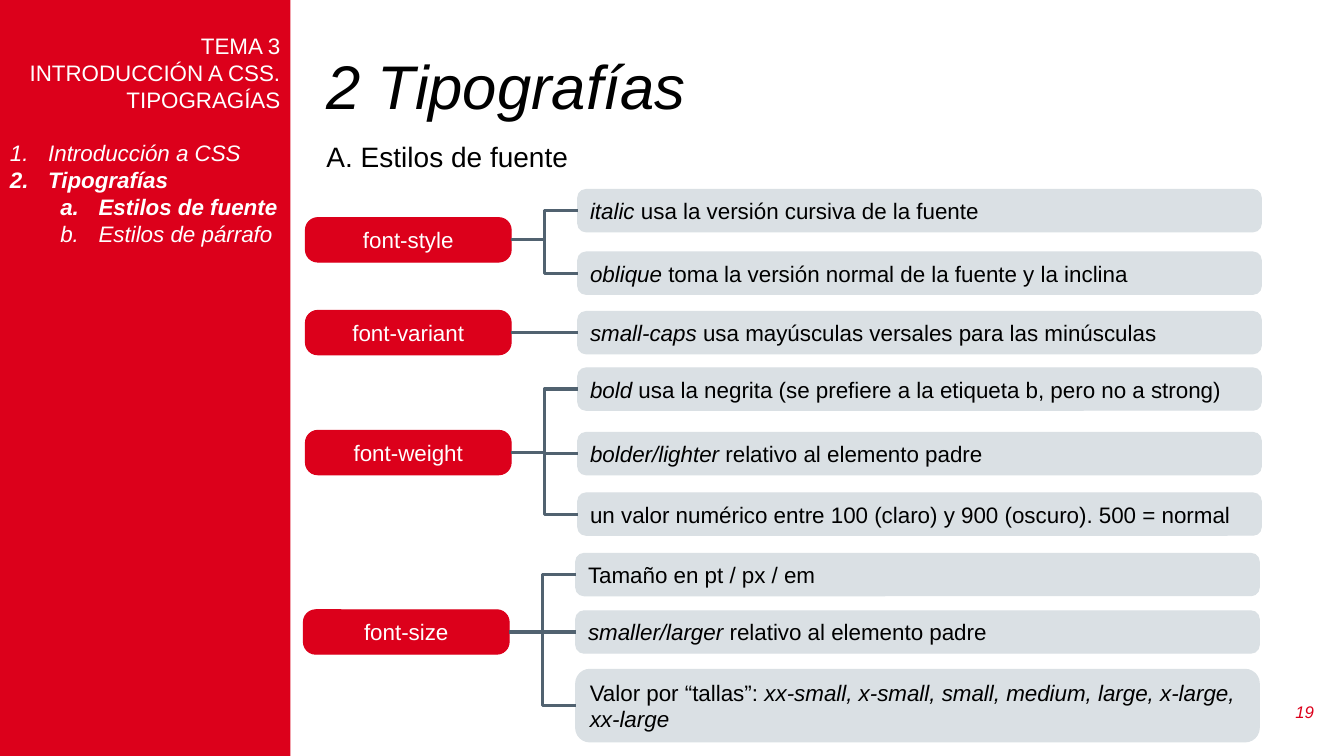
"""Build the slide on CSS font styles: a red side menu and four brackets."""
from lxml import etree
from pptx import Presentation
from pptx.dml.color import RGBColor
from pptx.enum.shapes import MSO_CONNECTOR, MSO_SHAPE
from pptx.enum.text import MSO_ANCHOR, PP_ALIGN
from pptx.oxml.ns import qn
from pptx.util import Inches, Pt

ELBOW = MSO_CONNECTOR.ELBOW
RECT, ROUND = MSO_SHAPE.RECTANGLE, MSO_SHAPE.ROUNDED_RECTANGLE
TOP, MID = MSO_ANCHOR.TOP, MSO_ANCHOR.MIDDLE
LEFT, MIDDLE, RIGHT = PP_ALIGN.LEFT, PP_ALIGN.CENTER, PP_ALIGN.RIGHT

HEX = {"red": "DC001B", "gray": "DAE0E4", "slate": "516270",
       "white": "FFFFFF", "black": "000000"}
FONT = "Arial"

HEADS = ["TEMA 3", "INTRODUCCIÓN A CSS. TIPOGRAGÍAS"]
MENU = [
    ("Introducción a CSS", 0, False),
    ("Tipografías", 0, True),
    ("Estilos de fuente", 1, True),
    ("Estilos de párrafo", 1, False),
]
LABELS = [
    ("2 Tipografías", (3.14, 0.5, 9.99, 0.78), 44, "black", True, LEFT, 0.9),
    ("A. Estilos de fuente", (3.14, 1.33, 7.46, 0.44), 20, "black", False, LEFT, 1),
    ("19", (12.62, 6.86, 0.51, 0.4), 12, "red", True, RIGHT, 1),
]
GROUPS = [
    ("font-style", 3.03, 2.16, [
        (1.88, [[("italic", True), (" usa la versión cursiva de la fuente", False)]]),
        (2.5, [[("oblique ", True),
                ("toma la versión normal de la fuente y la inclina", False)]]),
    ]),
    ("font-variant", 3.03, 3.08, [
        (3.09, [[("small-caps", True),
                 (" usa mayúsculas versales para las minúsculas", False)]]),
    ]),
    ("font-weight", 3.03, 4.27, [
        (3.65, [[("bold", True),
                 (" usa la negrita (se prefiere a la etiqueta b, pero no a strong)", False)]]),
        (4.29, [[("bolder/lighter ", True), ("relativo al elemento padre", False)]]),
        (4.89, [[("un valor numérico entre 100 (claro) y 900 (oscuro). 500 = normal", False)]]),
    ]),
    ("font-size", 3.01, 6.05, [
        (5.49, [[("Tamaño en pt / px / em", False)]]),
        (6.06, [[("smaller/larger ", True), ("relativo al elemento padre", False)]]),
        (6.64, [[("Valor por “tallas”: ", False),
                 ("xx-small, x-small, small, medium, large, x-large,", True)],
                [("xx-large", True)]]),
    ]),
]
PILL_W, PILL_H, GAP = 2.04, 0.44, 0.66
BAR_W, BAR_H, LINE_H = 6.78, 0.42, 0.3


def paint(part, tone):
    part.solid()
    part.fore_color.rgb = RGBColor.from_string(HEX[tone])


def write(para, text, tone, size=16, **form):
    run = para.add_run()
    run.text = text
    for key, value in {"name": FONT, "size": Pt(size), **form}.items():
        setattr(run.font, key, value)
    paint(run.font.fill, tone)


def set_frame(shape, **form):
    frame = shape.text_frame
    for key, value in {"word_wrap": True, "vertical_anchor": MID, **form}.items():
        setattr(frame, key, value)
    return frame


def next_para(frame, first, align):
    para = frame.paragraphs[0] if first else frame.add_paragraph()
    para.alignment = align
    return para


def add_box(slide, kind, place, tone, curve=None):
    box = slide.shapes.add_shape(kind, *map(Inches, place))
    box.shadow.inherit = False
    paint(box.fill, tone)
    paint(box.line.fill, tone)
    box.line.width = Pt(0.75)
    if curve:
        box.adjustments[0] = curve
    return box


def add_side(slide):
    side = add_box(slide, RECT, (0, 0, 2.88, 7.5), "red")
    side.line.fill.background()
    frame = set_frame(side, vertical_anchor=TOP, margin_top=Inches(0.32))
    for i, head in enumerate(HEADS):
        write(next_para(frame, i == 0, RIGHT), head, "white")
    for i, (text, level, bold) in enumerate(MENU):
        para = next_para(frame, False, LEFT)
        para.level = level
        if i == 0:
            para.space_before = Pt(19)
        props = para._p.get_or_add_pPr()
        props.set("marL", str(Inches(0.38 + 0.5 * level)))
        props.set("indent", str(Inches(-0.38)))
        etree.SubElement(props, qn("a:buFont"), typeface="+mj-lt")
        etree.SubElement(props, qn("a:buAutoNum"),
                         type=("arabicPeriod", "alphaLcPeriod")[level])
        write(para, text, "white", italic=True, bold=bold)


def add_label(slide, text, place, size, tone, slant, align, pitch):
    box = slide.shapes.add_textbox(*map(Inches, place))
    para = next_para(set_frame(box), True, align)
    para.line_spacing = pitch
    write(para, text, tone, size, italic=slant)


def add_bar(slide, left, top, lines):
    high = BAR_H + LINE_H * (len(lines) - 1)
    bar = add_box(slide, ROUND, (left, top, BAR_W, high), "gray", 0.195)
    frame = set_frame(bar)
    for i, runs in enumerate(lines):
        para = next_para(frame, i == 0, LEFT)
        for text, slant in runs:
            write(para, text, "black", italic=slant)
    return top + high / 2


def add_link(slide, *ends):
    link = slide.shapes.add_connector(ELBOW, *map(Inches, ends))
    paint(link.line.fill, "slate")
    link.line.width = Pt(2.25)
    etree.SubElement(link._element.spPr, qn("a:effectLst"))


def add_group(slide, name, left, top, bars):
    pill = add_box(slide, ROUND, (left, top, PILL_W, PILL_H), "red", 0.277)
    write(next_para(set_frame(pill), True, MIDDLE), name, "white")
    edge = left + PILL_W
    for bar_top, lines in bars:
        mid = add_bar(slide, edge + GAP, bar_top, lines)
        add_link(slide, edge, top + PILL_H / 2, edge + GAP, mid)


def main():
    deck = Presentation()
    deck.slide_width, deck.slide_height = Inches(13.33), Inches(7.5)
    slide = deck.slides.add_slide(deck.slide_layouts[6])
    add_side(slide)
    for label in LABELS:
        add_label(slide, *label)
    for group in GROUPS:
        add_group(slide, *group)
    deck.save("out.pptx")


if __name__ == "__main__":
    main()
